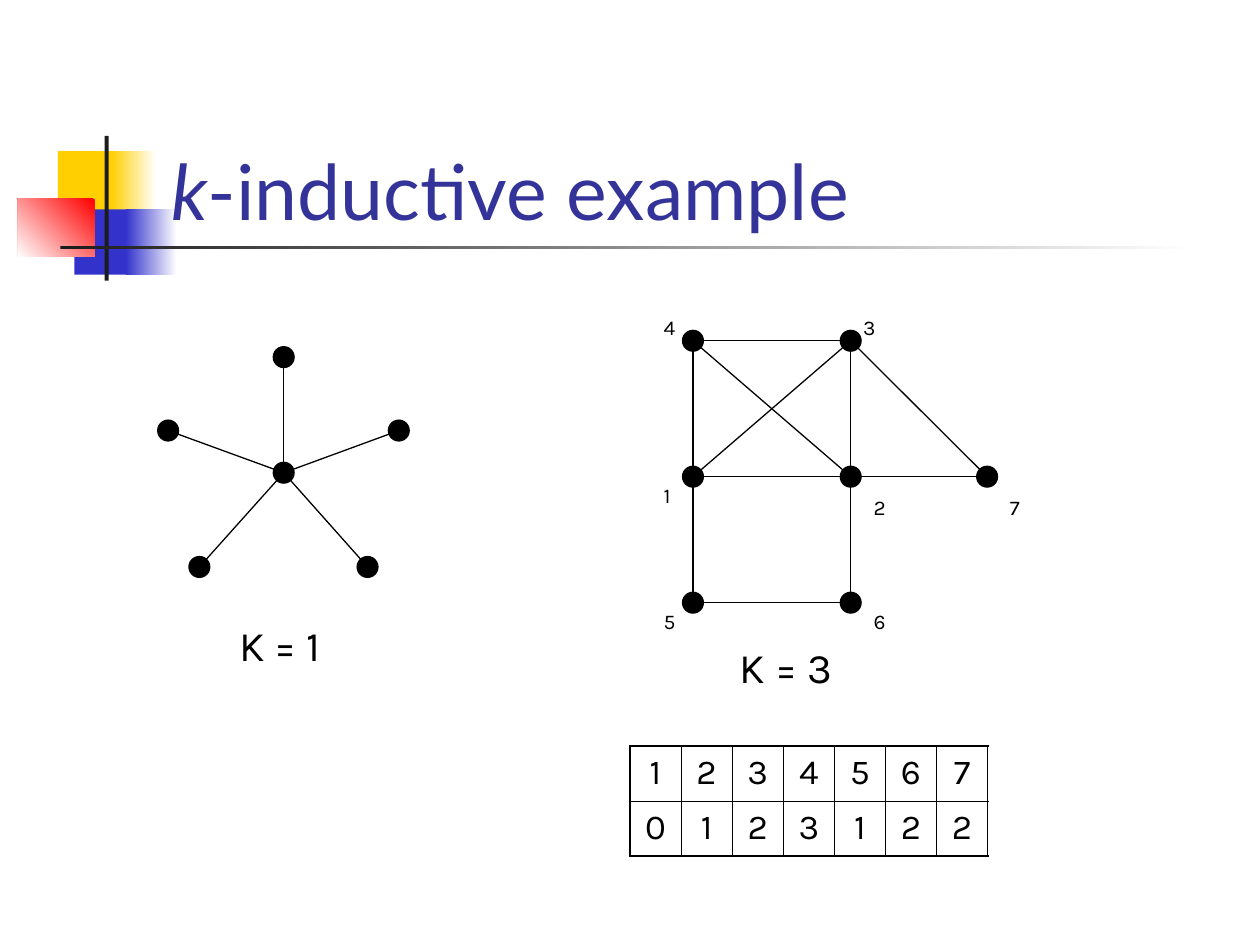
from lxml.etree import SubElement
from pptx import Presentation
from pptx.dml.color import RGBColor
from pptx.enum.shapes import MSO_CONNECTOR, MSO_SHAPE
from pptx.enum.text import MSO_ANCHOR, MSO_AUTO_SIZE, PP_ALIGN
from pptx.oxml.ns import qn
from pptx.util import Cm, Pt

COLORS = {"yellow": "FFCF01", "blue": "3333CC", "red": "FF0000", "white": "FFFFFF",
          "bar": "1C1C1C", "title": "333399", "black": "000000"}
RGB = {name: RGBColor.from_string(value) for name, value in COLORS.items()}


def add_run(p, text, size, font="Karla", color="black", italic=False):
    r = p.add_run()
    r.text = text
    r.font.size = Pt(size)
    r.font.name = font
    r.font.color.rgb = RGB[color]
    r.font.italic = italic


def draw_graph(nodes, edges):
    """Draw edges between node centres, then the nodes, in one group."""
    group = s.shapes.add_group_shape()
    for start, end in edges:
        ends = [Cm(v) for v in nodes[start] + nodes[end]]
        line = group.shapes.add_connector(MSO_CONNECTOR.STRAIGHT, *ends)
        line.line.color.rgb = RGB["black"]
        line.line.width = Pt(0.75)
        SubElement(line._element.spPr, qn("a:effectLst"))
    d = 0.42
    for x, y in nodes.values():
        dot = group.shapes.add_shape(MSO_SHAPE.OVAL, Cm(x - d / 2), Cm(y - d / 2), Cm(d), Cm(d))
        dot.shadow.inherit = False
        dot.fill.solid()
        dot.fill.fore_color.rgb = RGB["black"]
        dot.line.color.rgb = RGB["black"]
        dot.line.width = Pt(0.75)
    return group


prs = Presentation()
prs.slide_width, prs.slide_height = Cm(25.4), Cm(19.05)
s = prs.slides.add_slide(prs.slide_layouts[6])

# Corner ornament: left, top, width, height, colour, angle of the fade to white
ornament = [
    (1.17, 3.05, 1.22, 1.32, "yellow", None),
    (2.24, 3.05, 0.91, 1.32, "yellow", 0),
    (1.5, 4.22, 1.17, 1.32, "blue", None),
    (2.54, 4.22, 1.02, 1.32, "blue", 0),
    (0.36, 4.01, 1.55, 1.17, "red", 225),
    (2.11, 2.74, 0.08, 2.92, "bar", None),
    (1.22, 4.95, 22.86, 0.08, "bar", 0),
]
for *box, color, angle in ornament:
    sp = s.shapes.add_shape(MSO_SHAPE.RECTANGLE, *[Cm(v) for v in box])
    sp.shadow.inherit = False
    sp.line.fill.background()
    if angle is None:
        sp.fill.solid()
        sp.fill.fore_color.rgb = RGB[color]
    else:
        sp.fill.gradient()
        sp.fill.gradient_angle = angle
        for stop, name in zip(sp.fill.gradient_stops, (color, "white")):
            stop.color.rgb = RGB[name]

# Title
tf = s.shapes.add_textbox(Cm(3.2), Cm(1.7), Cm(21.64), Cm(3.18)).text_frame
tf.word_wrap = True
tf.vertical_anchor = MSO_ANCHOR.BOTTOM
add_run(tf.paragraphs[0], "k", 44, "Lato", "title", italic=True)
add_run(tf.paragraphs[0], "-inductive example", 44, "Lato", "title")

# Star graph and numbered graph
star = {"hub": (5.72, 9.53), "top": (5.72, 7.2), "left": (3.39, 8.68),
        "right": (8.04, 8.68), "low left": (4.02, 11.43), "low right": (7.41, 11.43)}
draw_graph(star, [("hub", tip) for tip in star if tip != "hub"])

col_1, col_2, col_3 = 13.97, 17.15, 19.9
row_1, row_2, row_3 = 6.87, 9.61, 12.15
numbered = {"1": (col_1, row_2), "2": (col_2, row_2), "3": (col_2, row_1),
            "4": (col_1, row_1), "5": (col_1, row_3), "6": (col_2, row_3),
            "7": (col_3, row_2)}
numbered_group = draw_graph(numbered, ["43", "45", "36", "56", "12", "42", "31", "27", "37"])

# Node numbers and captions
number_places = {"1": (13.13, 9.61), "2": (17.36, 9.84), "3": (17.15, 6.22),
                 "4": (13.13, 6.22), "5": (13.13, 12.15), "6": (17.36, 12.15),
                 "7": (20.11, 9.84)}
labels = [(numbered_group, text, *place, 0.74, 0.76, 12) for text, place in number_places.items()]
labels += [(s, "K = 1", 4.57, 12.37, 2.44, 1.27, 24), (s, "K = 3", 14.66, 12.8, 2.44, 1.27, 24)]
for parent, text, *box, size in labels:
    tf = parent.shapes.add_textbox(*[Cm(v) for v in box]).text_frame
    tf.word_wrap = False
    tf.auto_size = MSO_AUTO_SIZE.SHAPE_TO_FIT_TEXT
    add_run(tf.paragraphs[0], text, size)

# Table: node number above its count of earlier neighbours
rows = ["1234567", "0123122"]
n_rows, n_cols = len(rows), len(rows[0])
table = s.shapes.add_table(n_rows, n_cols, Cm(12.7), Cm(15.04), Cm(7.21), Cm(2.22)).table
table.first_row = table.horz_banding = False
for column in table.columns:
    column.width = Cm(1.03)
for i, values in enumerate(rows):
    table.rows[i].height = Cm(1.11)
    for j, value in enumerate(values):
        cell = table.cell(i, j)
        p = cell.text_frame.paragraphs[0]
        p.alignment = PP_ALIGN.CENTER
        add_run(p, value, 20)
        outer = {"a:lnL": j == 0, "a:lnR": j == n_cols - 1,
                 "a:lnT": i == 0, "a:lnB": i == n_rows - 1}
        tcPr = cell._tc.get_or_add_tcPr()
        for tag, is_outer in outer.items():
            ln = SubElement(tcPr, qn(tag), w=str(Pt(1.08 if is_outer else 0.45)))
            fill = SubElement(ln, qn("a:solidFill"))
            SubElement(fill, qn("a:srgbClr"), val=COLORS["black"])
        cell.fill.background()

prs.save("out.pptx")
